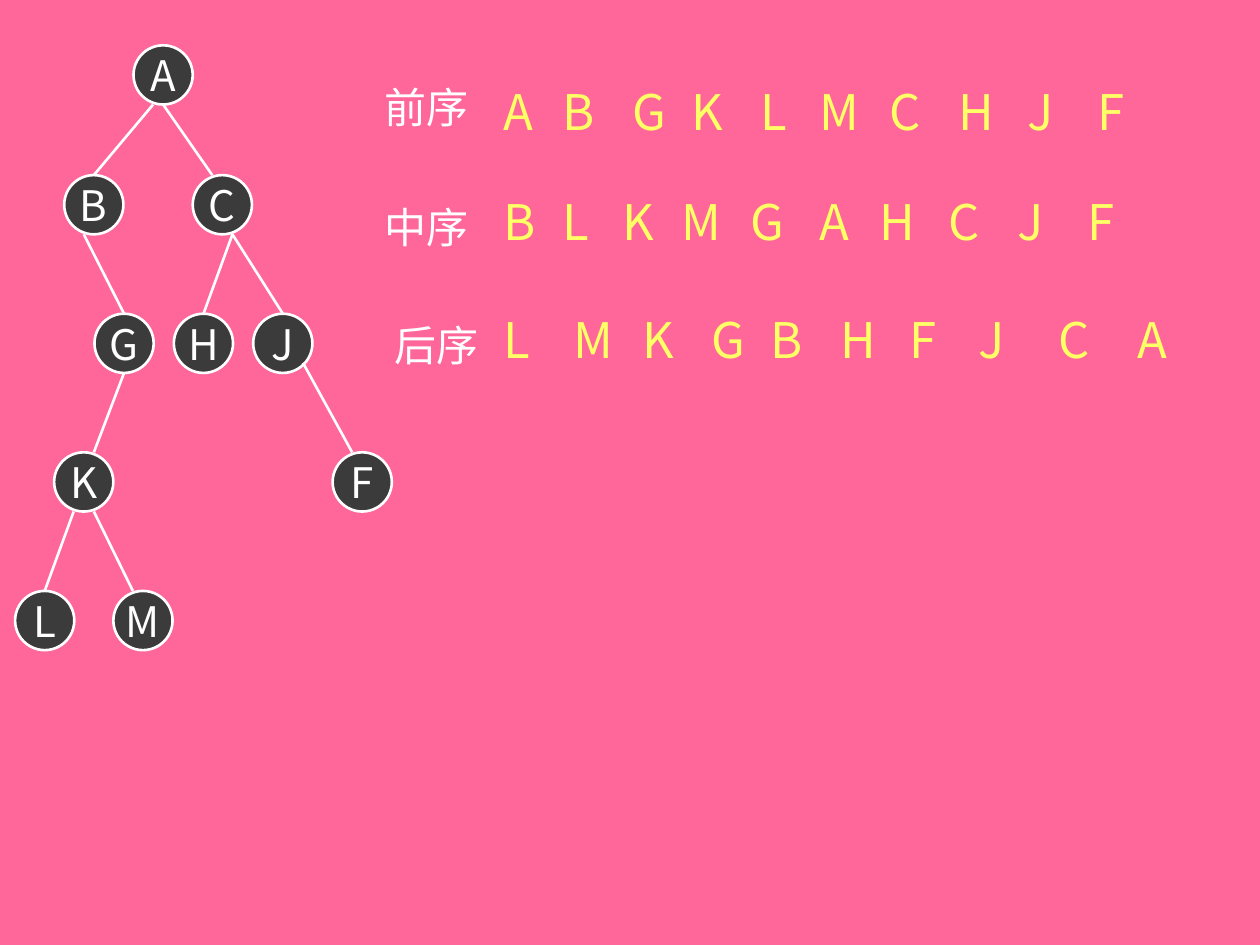
from dataclasses import dataclass
from itertools import accumulate

from lxml.etree import SubElement
from pptx import Presentation
from pptx.dml.color import RGBColor
from pptx.enum.shapes import MSO_CONNECTOR as Connector, MSO_SHAPE as Shape
from pptx.enum.text import MSO_ANCHOR as Anchor, MSO_AUTO_SIZE as AutoSize, PP_ALIGN as Align
from pptx.oxml.ns import qn
from pptx.util import Inches, Pt


@dataclass(frozen=True)
class Theme:
    background: RGBColor = RGBColor(0xFF, 0x66, 0x99)
    node: RGBColor = RGBColor(0x3B, 0x3B, 0x3B)
    white: RGBColor = RGBColor(0xFF, 0xFF, 0xFF)
    letter: RGBColor = RGBColor(0xFF, 0xFF, 0x66)
    latin_font: str = "Noto Sans CJK JP"
    chinese_font: str = "Noto Sans CJK SC"
    label_size: int = 24
    letter_size: int = 28
    line_width: float = 1.5


THEME = Theme()
DIAMETER = 0.47
NUDGE = 0.08

NODES = {
    "A": (0.94, 0), "B": (0.39, 1.03), "C": (1.41, 1.03),
    "G": (0.63, 2.13), "H": (1.26, 2.13), "J": (1.89, 2.13),
    "K": (0.31, 3.23), "F": (2.52, 3.23),
    "L": (0, 4.33), "M": (0.78, 4.33),
}

# parent, child, start shift across and down, end shift across, in nudges
EDGES = [
    ("A", "B", -1, 0, 0), ("A", "C", 0, 0, -1),
    ("J", "F", 2, -1, -1), ("B", "G", -1, 0, 0),
    ("C", "J", 1, 0, 0), ("G", "K", 0, 0, 1),
    ("C", "H", 1, 0, 0), ("K", "L", -1, 0, 0), ("K", "M", 1, 0, -1),
]

NARROW, MEDIUM, WIDE = 0.47, 0.55, 0.63
TRAVERSALS = [
    ("前序", (2.95, 0.6), 0.6, "ABGKLMCHJF",
     [NARROW, MEDIUM, NARROW, MEDIUM, NARROW] + [MEDIUM] * 4),
    ("中序", (2.95, 1.55), 1.47, "BLKMGAHCJF",
     [NARROW] * 3 + [MEDIUM] * 2 + [NARROW] + [MEDIUM] * 3),
    ("后序", (3.03, 2.49), 2.41, "LMKGBHFJCA",
     [MEDIUM] * 3 + [NARROW] + [MEDIUM] * 3 + [WIDE] * 2),
]


def write(para, text, size, color, font):
    span = para.add_run()
    span.text = text
    span.font.size = Pt(size)
    span.font.color.rgb = color
    span.font.name = font
    SubElement(span.font._element, qn("a:ea")).set("typeface", font)


def add_node(page, left, top, name):
    node = page.shapes.add_shape(
        Shape.OVAL, Inches(left), Inches(top), Inches(DIAMETER), Inches(DIAMETER))
    node.shadow.inherit = False
    node.fill.solid()
    node.fill.fore_color.rgb = THEME.node
    node.line.color.rgb = THEME.white
    node.line.width = Pt(THEME.line_width)
    frame = node.text_frame
    frame.word_wrap = False
    frame.vertical_anchor = Anchor.MIDDLE
    para = frame.paragraphs[0]
    para.alignment = Align.CENTER
    write(para, name, THEME.label_size, THEME.white, THEME.latin_font)


def add_edge(page, start, end):
    edge = page.shapes.add_connector(
        Connector.STRAIGHT, *(Inches(value) for value in start + end))
    edge.line.color.rgb = THEME.white
    edge.line.width = Pt(THEME.line_width)
    SubElement(edge._element.spPr, qn("a:effectLst"))


def add_tree(page, left, top):
    for name, (across, down) in NODES.items():
        add_node(page, left + across, top + down, name)
    radius = DIAMETER / 2
    for parent, child, start_across, start_down, end_across in EDGES:
        parent_left, parent_top = NODES[parent]
        child_left, child_top = NODES[child]
        start = (left + parent_left + radius + start_across * NUDGE,
                 top + parent_top + DIAMETER + start_down * NUDGE)
        end = (left + child_left + radius + end_across * NUDGE, top + child_top)
        add_edge(page, start, end)


def add_text(page, left, top, width, height, text, size, color, font):
    box = page.shapes.add_textbox(
        Inches(left), Inches(top), Inches(width), Inches(height))
    frame = box.text_frame
    frame.word_wrap = True
    frame.auto_size = AutoSize.SHAPE_TO_FIT_TEXT
    write(frame.paragraphs[0], text, size, color, font)


def add_traversal(page, label, label_corner, left, top, letters, steps):
    add_text(page, *label_corner, 2.05, 0.5, label,
             THEME.label_size, THEME.white, THEME.chinese_font)
    for letter, place in zip(letters, accumulate(steps, initial=left)):
        add_text(page, place, top, 0.47, 0.57, letter,
                 THEME.letter_size, THEME.letter, THEME.latin_font)


def main():
    deck = Presentation()
    deck.slide_width, deck.slide_height = Inches(10), Inches(7.5)
    page = deck.slides.add_slide(deck.slide_layouts[6])
    page.background.fill.solid()
    page.background.fill.fore_color.rgb = THEME.background
    add_tree(page, 0.12, 0.36)
    for label, label_corner, top, letters, steps in TRAVERSALS:
        add_traversal(page, label, label_corner, 3.9, top, letters, steps)
    deck.save("out.pptx")


if __name__ == "__main__":
    main()
